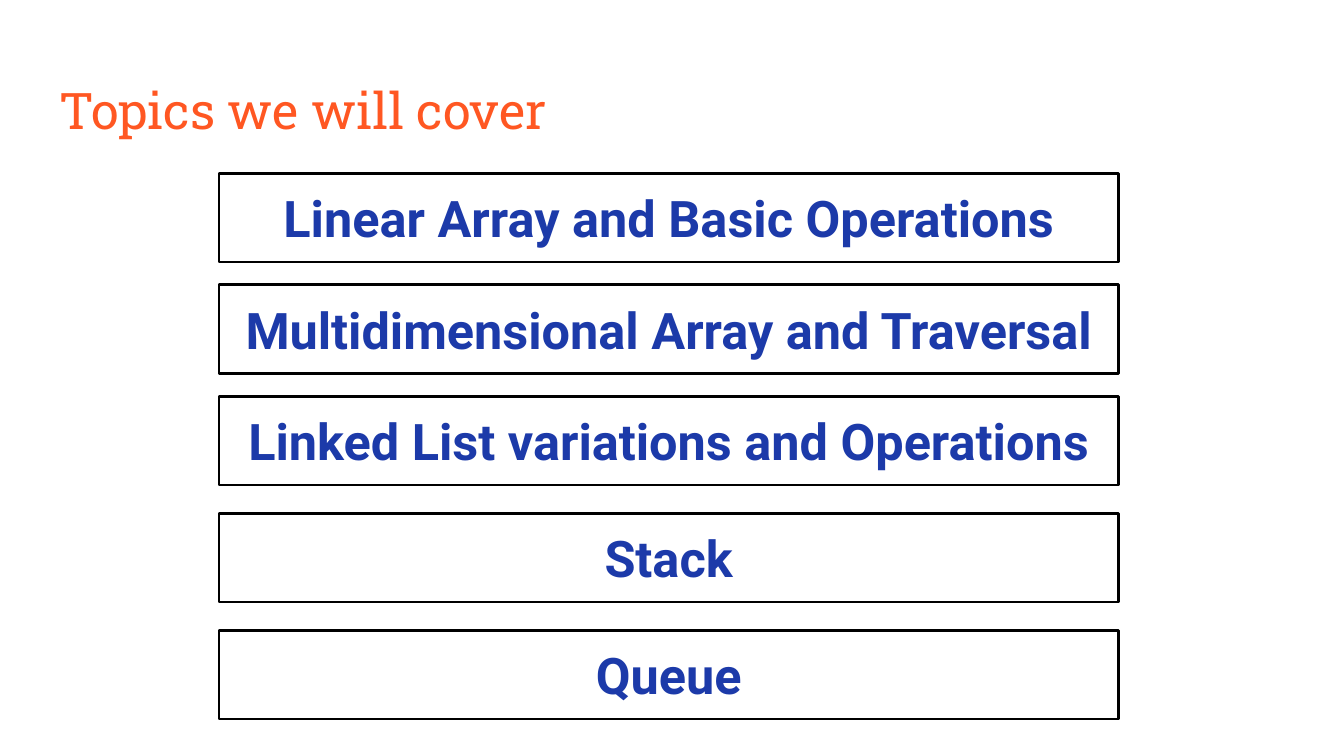
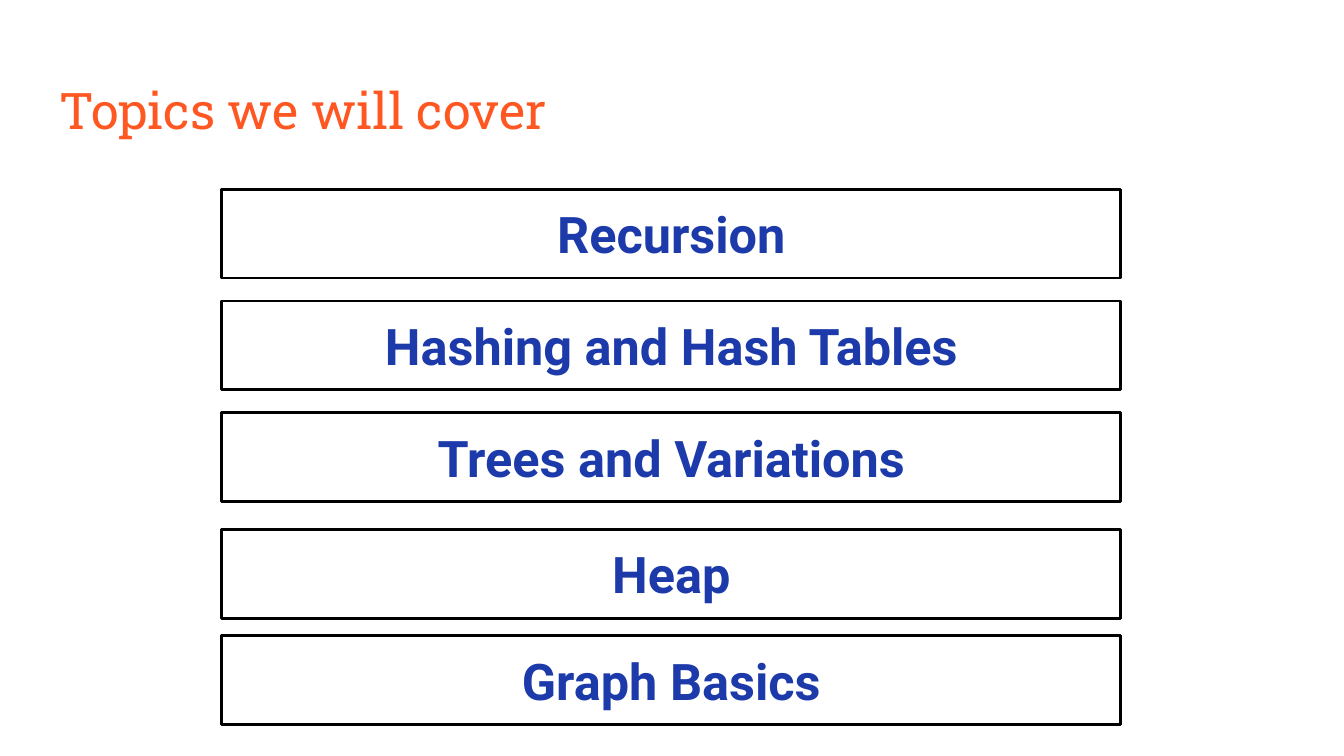
"""Build two slides that list the topics of a data structures course."""
from pptx import Presentation
from pptx.dml.color import RGBColor
from pptx.enum.shapes import MSO_SHAPE
from pptx.enum.text import MSO_ANCHOR, MSO_AUTO_SIZE, PP_ALIGN
from pptx.util import Inches, Pt

RECTANGLE = MSO_SHAPE.RECTANGLE
TOP, MIDDLE = MSO_ANCHOR.TOP, MSO_ANCHOR.MIDDLE
LEFT, CENTER = PP_ALIGN.LEFT, PP_ALIGN.CENTER
NO_FIT = MSO_AUTO_SIZE.NONE

COLORS = {"background": "FFFFFF", "title": "FF5722", "topic": "1C3AA9", "border": "000000"}
TITLE_FONT, TOPIC_FONT = "Roboto Slab", "Roboto"
TEXT_SIZE = 27
TITLE_ONLY_LAYOUT = 5
TITLE = "Topics we will cover"
SLIDE_WIDTH = Inches(10)
SLIDE_HEIGHT = SLIDE_WIDTH * 9 // 16
TOPIC_WIDTH, TOPIC_HEIGHT = 6.69, 0.66

TOPIC_PAGES = [
    (1.63, [
        (1.29, "Linear Array and Basic Operations"),
        (2.12, "Multidimensional Array and Traversal"),
        (2.95, "Linked List variations and Operations"),
        (3.82, "Stack"),
        (4.69, "Queue"),
    ]),
    (1.65, [
        (1.41, "Recursion"),
        (2.24, "Hashing and Hash Tables"),
        (3.07, "Trees and Variations"),
        (3.94, "Heap"),
        (4.73, "Graph Basics"),
    ]),
]


def color(name):
    """Return the named colour of the palette."""
    return RGBColor.from_string(COLORS[name])


def write_text(box, text, font_name, color_name, anchor, alignment, bold=False):
    """Put one formatted line of text into a shape."""
    frame = box.text_frame
    frame.text = text
    frame.word_wrap = True
    frame.auto_size = NO_FIT
    frame.vertical_anchor = anchor
    frame.margin_left = frame.margin_right = Inches(0.1)
    frame.margin_top = frame.margin_bottom = Inches(0.1)
    para = frame.paragraphs[0]
    para.alignment = alignment
    font = para.runs[0].font
    font.name = font_name
    font.size = Pt(TEXT_SIZE)
    font.bold = bold
    font.color.rgb = color(color_name)


def add_page(deck):
    """Add a page with the shared background and title."""
    page = deck.slides.add_slide(deck.slide_layouts[TITLE_ONLY_LAYOUT])
    page.background.fill.solid()
    page.background.fill.fore_color.rgb = color("background")
    title = page.shapes.title
    title.left, title.top = Inches(0.34), Inches(0.49)
    title.width, title.height = Inches(9.32), Inches(0.63)
    write_text(title, TITLE, TITLE_FONT, "title", TOP, LEFT)
    return page


def add_topic(page, left, top, text):
    """Add one outlined topic box."""
    box = page.shapes.add_shape(RECTANGLE, Inches(left), Inches(top),
                                Inches(TOPIC_WIDTH), Inches(TOPIC_HEIGHT))
    box.shadow.inherit = False
    box.fill.background()
    box.line.color.rgb = color("border")
    box.line.width = Pt(1.5)
    write_text(box, text, TOPIC_FONT, "topic", MIDDLE, CENTER, bold=True)


def main():
    """Build and save the deck."""
    deck = Presentation()
    deck.slide_width, deck.slide_height = SLIDE_WIDTH, SLIDE_HEIGHT
    for left, topics in TOPIC_PAGES:
        page = add_page(deck)
        for top, text in topics:
            add_topic(page, left, top, text)
    deck.save("out.pptx")


if __name__ == "__main__":
    main()
